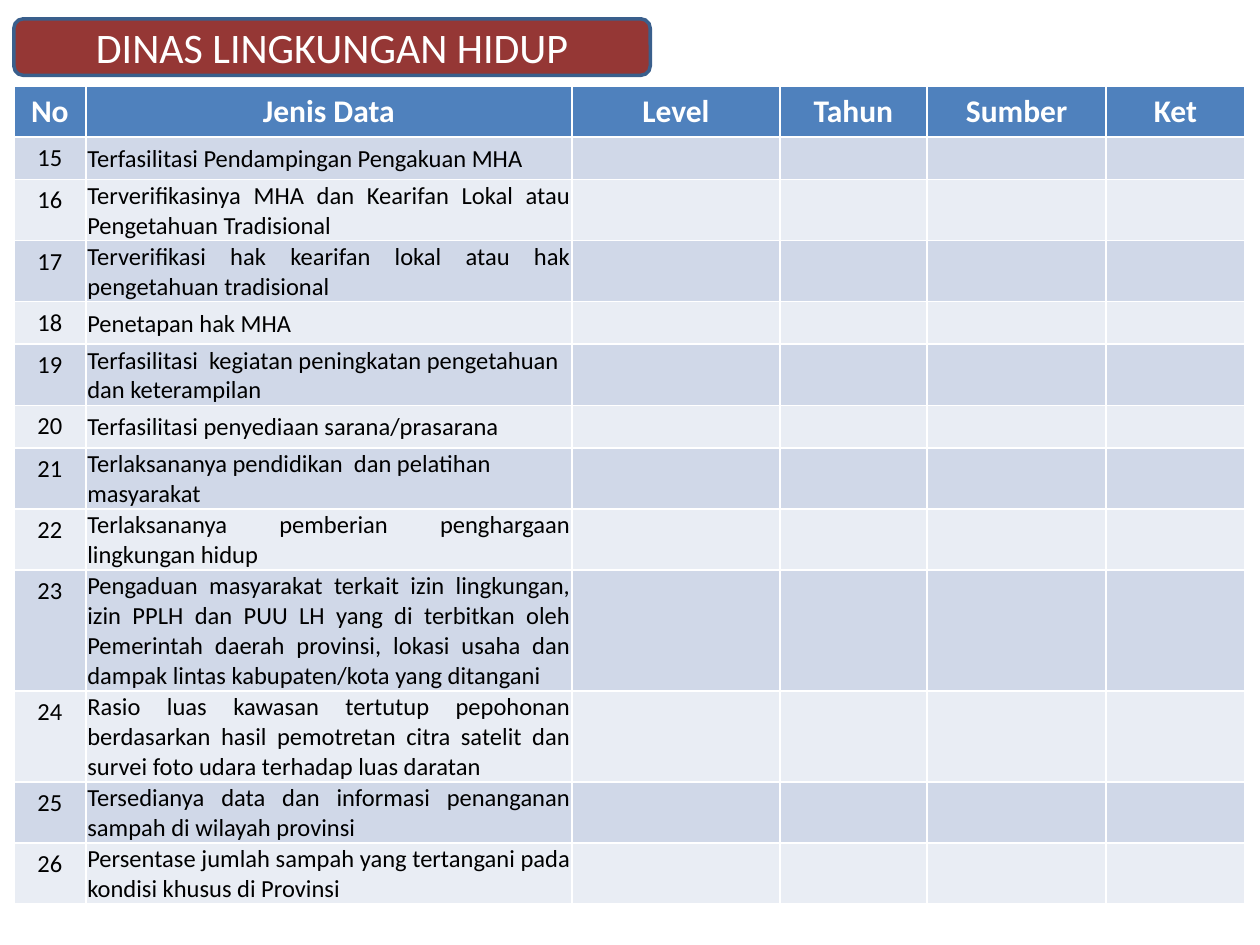
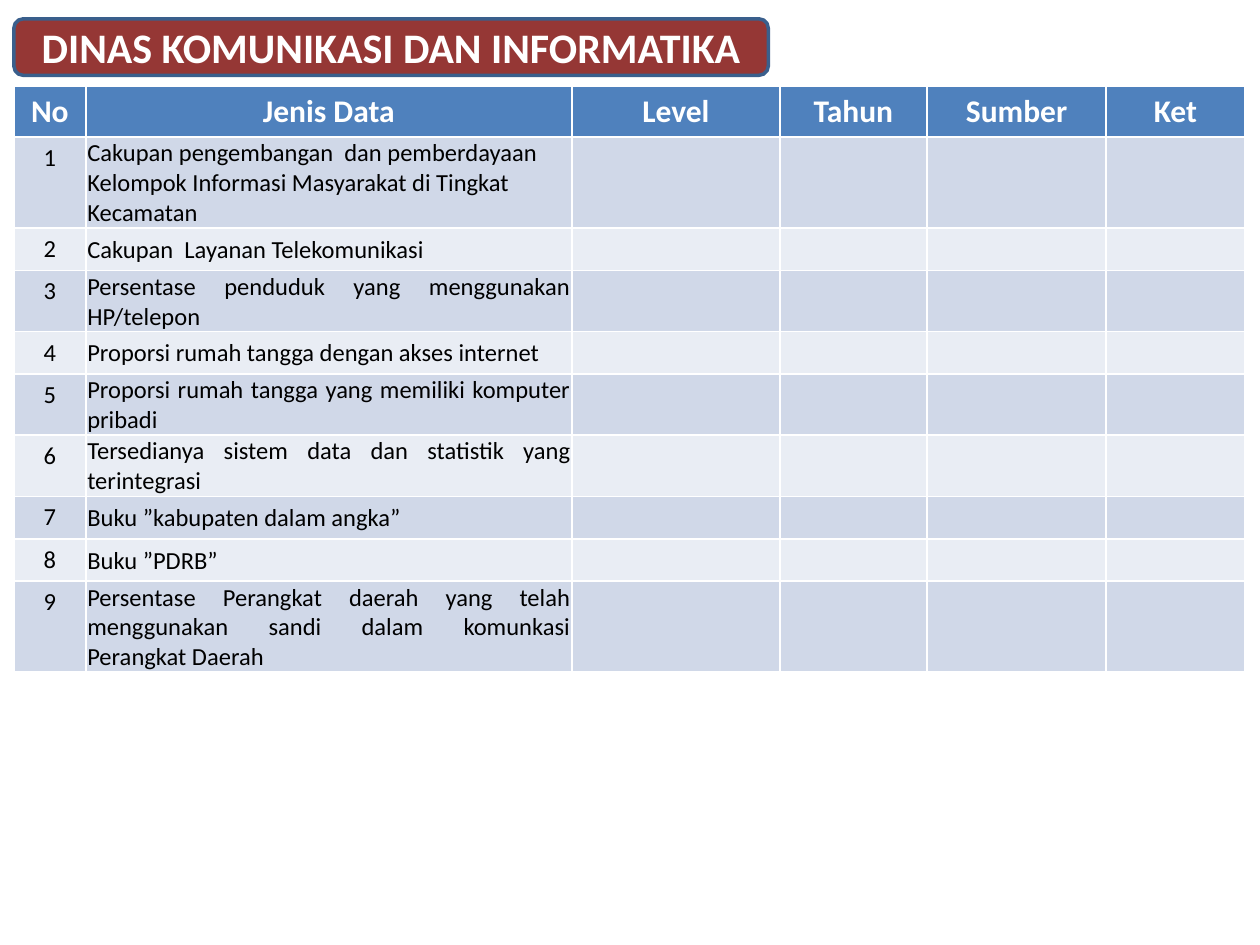
from lxml import etree
from pptx import Presentation
from pptx.dml.color import RGBColor
from pptx.enum.shapes import MSO_SHAPE
from pptx.enum.text import MSO_ANCHOR, MSO_AUTO_SIZE, PP_ALIGN
from pptx.oxml.ns import qn
from pptx.util import Cm, Pt

ROUNDED = MSO_SHAPE.ROUNDED_RECTANGLE
MIDDLE = MSO_ANCHOR.MIDDLE
NO_FIT = MSO_AUTO_SIZE.NONE
LEFT, CENTER, JUSTIFY = PP_ALIGN.LEFT, PP_ALIGN.CENTER, PP_ALIGN.JUSTIFY
TITLE_ONLY = 5

COLUMNS = {"No": 1.45, "Jenis Data": 9.8, "Level": 4.19,
           "Tahun": 2.97, "Sumber": 3.61, "Ket": 2.79}

ENVIRONMENT_DATA = [
    ("Terfasilitasi Pendampingan Pengakuan MHA", LEFT),
    ("Terverifikasinya MHA dan Kearifan Lokal atau Pengetahuan Tradisional", JUSTIFY),
    ("Terverifikasi hak kearifan lokal atau hak pengetahuan tradisional", JUSTIFY),
    ("Penetapan hak MHA", LEFT),
    ("Terfasilitasi  kegiatan peningkatan pengetahuan  dan keterampilan", LEFT),
    ("Terfasilitasi penyediaan sarana/prasarana", LEFT),
    ("Terlaksananya pendidikan  dan pelatihan masyarakat", LEFT),
    ("Terlaksananya pemberian penghargaan lingkungan hidup", JUSTIFY),
    ("Pengaduan masyarakat terkait izin lingkungan, izin PPLH dan PUU LH yang di "
     "terbitkan oleh Pemerintah daerah provinsi, lokasi usaha dan dampak lintas "
     "kabupaten/kota yang ditangani", JUSTIFY),
    ("Rasio luas kawasan tertutup pepohonan berdasarkan hasil pemotretan citra "
     "satelit dan survei foto udara terhadap luas daratan", JUSTIFY),
    ("Tersedianya data dan informasi penanganan sampah di wilayah provinsi", JUSTIFY),
    ("Persentase jumlah sampah yang tertangani pada kondisi khusus di Provinsi", JUSTIFY),
]

COMMUNICATION_DATA = [
    ("Cakupan pengembangan  dan pemberdayaan Kelompok Informasi Masyarakat di "
     "Tingkat Kecamatan", LEFT),
    ("Cakupan  Layanan Telekomunikasi", LEFT),
    ("Persentase penduduk yang menggunakan HP/telepon", JUSTIFY),
    ("Proporsi rumah tangga dengan akses internet", JUSTIFY),
    ("Proporsi rumah tangga yang memiliki komputer pribadi", JUSTIFY),
    ("Tersedianya sistem data dan statistik yang terintegrasi", JUSTIFY),
    ("Buku ”kabupaten dalam angka”", LEFT),
    ("Buku ”PDRB”", LEFT),
    ("Persentase Perangkat daerah yang telah menggunakan sandi dalam komunkasi "
     "Perangkat Daerah", JUSTIFY),
]


def color(value):
    """Turn a hex string into a colour."""
    return RGBColor.from_string(value)


class DataDeck:
    """Holds the shared style and the current slide."""

    font = "Calibri"
    white, black = "FFFFFF", "000000"
    banner_fill, banner_line = "953735", "3A5F8C"
    header_fill, row_fills = "4F81BD", ("D0D8E8", "E9EDF4")
    left = Cm(0.28)
    body_size = 14

    def __init__(self):
        """Start an empty 4:3 deck."""
        self.deck = Presentation()
        self.deck.slide_width, self.deck.slide_height = Cm(25.4), Cm(19.05)
        self.page = None

    def add_page(self):
        """Add a slide that has only a title placeholder."""
        self.page = self.deck.slides.add_slide(self.deck.slide_layouts[TITLE_ONLY])

    def add_text(self, para, text, size, ink, bold, align):
        """Add one formatted run to a paragraph."""
        para.alignment = align
        span = para.add_run()
        span.text = text
        span.font.name, span.font.size, span.font.bold = self.font, Pt(size), bold
        span.font.color.rgb = color(ink)

    def banner(self, text, width, bold):
        """Place the title on a rounded banner."""
        area = self.left, Cm(0.38), Cm(width), Cm(1.14)
        band = self.page.shapes.add_shape(ROUNDED, *area)
        band.shadow.inherit = False
        band.fill.solid()
        band.fill.fore_color.rgb = color(self.banner_fill)
        band.line.color.rgb = color(self.banner_line)
        band.line.width = Pt(2)
        title = self.page.shapes.title
        title.element.addprevious(band.element)
        title.left, title.top, title.width, title.height = area
        frame = title.text_frame
        frame.auto_size, frame.word_wrap = NO_FIT, True
        frame.vertical_anchor = MIDDLE
        frame.margin_top = frame.margin_bottom = 0
        self.add_text(frame.paragraphs[0], text, 24, self.white, bold, CENTER)

    def fill_cell(self, cell, fill):
        """Give a table cell a solid fill."""
        cell.fill.solid()
        cell.fill.fore_color.rgb = color(fill)

    def description_cell(self, cell, text, align):
        """Put a data description in a cell with tight margins."""
        cell.vertical_anchor = MIDDLE
        cell.margin_left = cell.margin_right = cell.margin_top = Cm(0.03)
        cell.margin_bottom = 0
        self.add_text(cell.text_frame.paragraphs[0], text, self.body_size,
                      self.black, False, align)

    def empty_cell(self, cell):
        """Keep an empty cell at body text height."""
        etree.SubElement(cell.text_frame.paragraphs[0]._p, qn("a:endParaRPr"),
                         sz=str(self.body_size * 100))

    def data_table(self, entries, first_number):
        """Add the numbered data table."""
        header_height, row_height = Cm(0.91), Cm(0.85)
        table = self.page.shapes.add_table(
            len(entries) + 1, len(COLUMNS), self.left, Cm(1.73),
            Cm(sum(COLUMNS.values())), header_height + row_height * len(entries)).table
        for index, (heading, width) in enumerate(COLUMNS.items()):
            table.columns[index].width = Cm(width)
            cell = table.cell(0, index)
            self.fill_cell(cell, self.header_fill)
            self.add_text(cell.text_frame.paragraphs[0], heading, 18,
                          self.white, True, CENTER)
        table.rows[0].height = header_height
        for index, (text, align) in enumerate(entries):
            row = table.rows[index + 1]
            row.height = row_height
            number, description, *blanks = row.cells
            for cell in row.cells:
                self.fill_cell(cell, self.row_fills[index % 2])
            self.add_text(number.text_frame.paragraphs[0], str(first_number + index),
                          self.body_size, self.black, False, CENTER)
            self.description_cell(description, text, align)
            for cell in blanks:
                self.empty_cell(cell)


def main():
    """Build both slides and save the deck."""
    builder = DataDeck()
    for title, width, bold, entries, first_number in (
            ("DINAS LINGKUNGAN HIDUP", 12.83, False, ENVIRONMENT_DATA, 15),
            ("DINAS KOMUNIKASI DAN INFORMATIKA", 15.21, True, COMMUNICATION_DATA, 1)):
        builder.add_page()
        builder.banner(title, width, bold)
        builder.data_table(entries, first_number)
    builder.deck.save("out.pptx")


if __name__ == "__main__":
    main()
